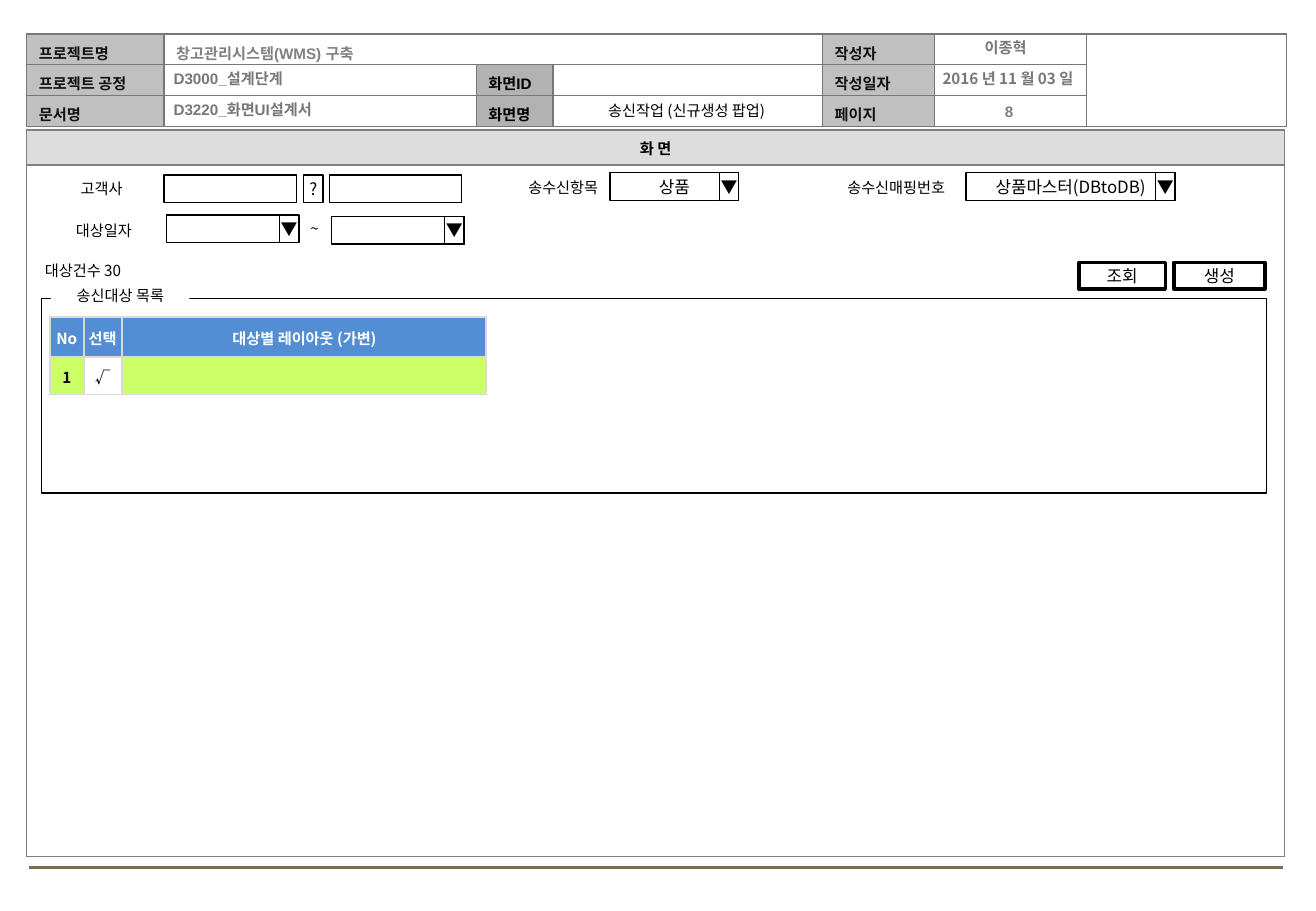
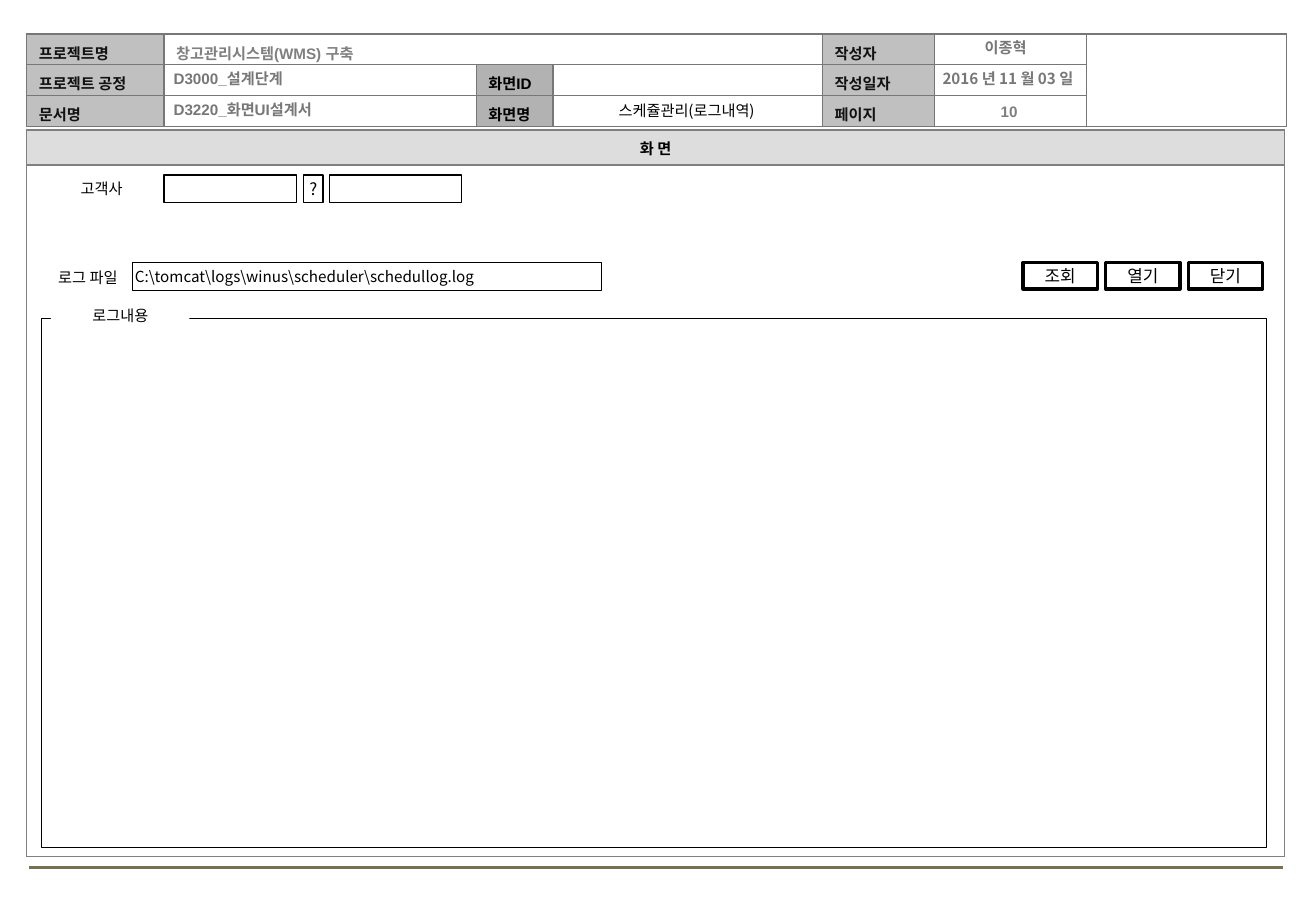
from lxml import etree
from pptx import Presentation
from pptx.dml.color import RGBColor as Rgb
from pptx.enum.shapes import MSO_CONNECTOR as Conn, MSO_SHAPE as Kind
from pptx.enum.text import MSO_ANCHOR as Anchor, MSO_AUTO_SIZE as Auto, PP_ALIGN as Align
from pptx.oxml.ns import qn
from pptx.util import Inches, Pt

HUE = {
    "ink": "000000", "label": "111111", "value": "777777", "project": "808080",
    "page": "7F7F7F", "edge": "777777", "frame": "808080", "head": "C0C0C0",
    "key": "B2B2B2", "band": "DDDDDD", "foot": "7A6F54", "white": "FFFFFF",
    "blue": "538ED5", "lime": "CCFF66", "grid": "D9D9D9",
}
SANS, KOREAN = "Arial", "Noto Sans CJK KR"
FIELD_H, ARROW_W = 0.23, 0.16


def rgb(name):
    return Rgb.from_string(HUE[name])


def box(x, y, w, h):
    return [Inches(n) for n in (x, y, w, h)]


# Text and shapes
def write(para, text, size=9, hue="ink", bold=False, font=KOREAN, align=Align.LEFT):
    para.alignment = align
    run = para.add_run()
    run.text = text
    face = run.font
    face.size, face.bold, face.name = Pt(size), bold, font
    face.color.rgb = rgb(hue)
    etree.SubElement(run._r.get_or_add_rPr(), qn("a:ea"), typeface=KOREAN)


def inset(frame, side, top, low):
    frame.margin_left = frame.margin_right = Inches(side)
    frame.margin_top, frame.margin_bottom = Inches(top), Inches(low)


def label(slide, x, y, w, text, align=Align.CENTER, fill=None, mid=False, wrap=True, **style):
    area = slide.shapes.add_textbox(*box(x, y, w, 0.25))
    if fill:
        area.fill.solid()
        area.fill.fore_color.rgb = rgb(fill)
    frame = area.text_frame
    frame.word_wrap = wrap
    frame.vertical_anchor = Anchor.MIDDLE if mid else Anchor.TOP
    write(frame.paragraphs[0], text, align=align, **style)


def rect(slide, x, y, w, h=FIELD_H, text="", line=0.75, fill="white",
         size=10, align=Align.CENTER, wrap=False):
    shape = slide.shapes.add_shape(Kind.RECTANGLE, *box(x, y, w, h))
    shape.shadow.inherit = False
    if fill:
        shape.fill.solid()
        shape.fill.fore_color.rgb = rgb(fill)
    else:
        shape.fill.background()
    shape.line.color.rgb = rgb("ink")
    shape.line.width = Pt(line)
    if text:
        frame = shape.text_frame
        frame.word_wrap = wrap
        frame.vertical_anchor = Anchor.MIDDLE
        inset(frame, 0.02, 0.04, 0.04)
        write(frame.paragraphs[0], text, size, align=align)


# Tables
def border(cell, hue):
    props = cell._tc.get_or_add_tcPr()
    for at, side in enumerate(("lnL", "lnR", "lnT", "lnB")):
        line = etree.Element(qn("a:" + side), w=str(Pt(1)))
        paint = etree.SubElement(line, qn("a:solidFill"))
        etree.SubElement(paint, qn("a:srgbClr"), val=HUE[hue])
        props.insert(at, line)


def table(slide, x, y, cols, rows, cells, edge, pad, **style):
    """Each entry of cells maps (row, column) to (text, fill, text colour)."""
    area = box(x, y, sum(cols), sum(rows))
    grid = slide.shapes.add_table(len(rows), len(cols), *area).table
    grid.first_row = grid.horz_banding = False
    for col, w in zip(grid.columns, cols):
        col.width = Inches(w)
    for row, h in zip(grid.rows, rows):
        row.height = Inches(h)
    for r in range(len(rows)):
        for c in range(len(cols)):
            cell = grid.cell(r, c)
            text, fill, hue = cells.get((r, c), ("", None, "ink"))
            cell.vertical_anchor = Anchor.MIDDLE
            inset(cell, *pad)
            if fill:
                cell.fill.solid()
                cell.fill.fore_color.rgb = rgb(fill)
            else:
                cell.fill.background()
            border(cell, edge)
            para = cell.text_frame.paragraphs[0]
            if text:
                write(para, text, hue=hue, bold=True, **style)
            else:
                etree.SubElement(para._p, qn("a:endParaRPr"), sz="900")
    return grid


# Shared page parts
def header(slide, x, y, name, page):
    cols = (1.13, 2.57, 0.63, 2.22, 0.92, 1.25, 1.65)
    step = 0.76 / 3
    cells = {(0, 1): ("창고관리시스템(WMS) 구축", None, "project")}
    for col, fill, hue, words in (
        (0, "head", "label", ("프로젝트명", "프로젝트 공정", "문서명")),
        (2, "key", "ink", ("", "화면ID", "화면명")),
        (4, "head", "label", ("작성자", "작성일자", "페이지")),
    ):
        cells.update({(r, col): (t, fill, hue) for r, t in enumerate(words) if t})
    grid = table(slide, x, y, cols, [step] * 3, cells, "edge", (0.1, 0.06, 0.01), font=SANS)
    grid.cell(0, 1).merge(grid.cell(0, 3))
    grid.cell(0, 6).merge(grid.cell(2, 6))

    bold = {"hue": "value", "bold": True}
    for row, text in ((0.24, "D3000_설계단계"), (0.5, "D3220_화면UI설계서")):
        label(slide, x + 1.11, y + row, 5.42, text, Align.LEFT, font=SANS, **bold)
    label(slide, x + 7.27, y - 0.01, 1.57, "이종혁", **bold)
    label(slide, x + 7.29, y + 0.24, 1.57, "2016 년 11 월 03 일", **bold)
    label(slide, x + 7.46, y + 0.51, 1.25, page, hue="page", bold=True, font=SANS)

    title = slide.shapes.title
    title.left, title.top, title.width, title.height = box(x + 4.34, y + 0.5, 2.18, 0.25)
    frame = title.text_frame
    frame.word_wrap, frame.auto_size = True, Auto.NONE
    frame.vertical_anchor = Anchor.TOP
    inset(frame, 0.1, 0.05, 0.05)
    write(frame.paragraphs[0], name, align=Align.CENTER)


def panel(slide, x, y):
    table(slide, x, y, [10.35], [0.29, 5.69], {(0, 0): ("화 면", "band", "ink")},
          "frame", (0.02, 0, 0), font=SANS, align=Align.CENTER)


def footer(slide, x, y, w):
    line = slide.shapes.add_connector(
        Conn.STRAIGHT, Inches(x), Inches(y), Inches(x + w), Inches(y))
    line.line.color.rgb = rgb("foot")
    line.line.width = Pt(1.75)
    etree.SubElement(line._element.spPr, qn("a:effectLst"))


def sheet(deck, name, page):
    slide = deck.slides.add_slide(deck.slide_layouts[5])
    footer(slide, 0.24, 7.14, 10.32)
    header(slide, 0.22, 0.28, name, page)
    panel(slide, 0.22, 1.07)
    client(slide, 0.36, 1.43)
    return slide


# Form parts
def client(slide, x, y):
    label(slide, x, y, 0.95, "고객사")
    for dx, w, text in ((0.99, 1.09, ""), (2.14, 0.16, "?"), (2.35, 1.09, "")):
        rect(slide, x + dx, y + 0.01, w, text=text)


def combo(slide, x, y, w, text=""):
    rect(slide, x, y, w, text=text)
    rect(slide, x + w - ARROW_W, y, ARROW_W, text="▼")


def group(slide, x, y, w, h, name):
    rect(slide, x, y, w, h, fill=None)
    label(slide, x + 0.08, y - 0.15, 1.14, name, fill="white")


def dates(slide, x, y):
    label(slide, x, y, 0.95, "대상일자")
    combo(slide, x + 0.99, y, 1.09)
    label(slide, x + 2.16, y - 0.01, 0.1, "~", wrap=False)
    combo(slide, x + 2.35, y + 0.01, 1.09)


def buttons(slide, x, y, gap, items):
    for text, w in items:
        rect(slide, x, y, w, 0.22, text, line=2)
        x += w + gap


def targets(slide, x, y):
    rows, style = (0.33, 0.31), {"align": Align.CENTER}
    pad = (0.01, 0.01, 0)
    picks = {(0, 0): ("No", "blue", "white"), (0, 1): ("선택", "blue", "white"),
             (1, 0): ("1", "lime", "ink"), (1, 1): ("√", None, "ink")}
    table(slide, x, y, (0.28, 0.31), rows, picks, "grid", pad, **style)
    layout = {(0, 0): ("대상별 레이아웃 (가변)", "blue", "white"), (1, 0): ("", "lime", "ink")}
    table(slide, x + 0.6, y, [2.99], rows, layout, "grid", pad, **style)


# Slides
def send(deck):
    slide = sheet(deck, "송신작업 (신규생성 팝업)", "8")
    label(slide, 4.16, 1.42, 0.95, "송수신항목")
    combo(slide, 5.02, 1.42, 1.06, "상품")
    label(slide, 6.8, 1.42, 1.15, "송수신매핑번호")
    combo(slide, 7.95, 1.42, 1.72, "상품마스터(DBtoDB)")
    dates(slide, 0.38, 1.77)
    label(slide, 0.27, 2.1, 1.61, "대상건수 30", Align.LEFT, "white")
    buttons(slide, 8.88, 2.16, 0.07, (("조회", 0.71), ("생성", 0.75)))
    group(slide, 0.34, 2.46, 10.08, 1.6, "송신대상 목록")
    targets(slide, 0.41, 2.61)


def log(deck):
    slide = sheet(deck, "스케쥴관리(로그내역)", "10")
    label(slide, 0.38, 2.16, 0.79, "로그 파일", Align.LEFT, mid=True)
    rect(slide, 1.09, 2.16, 3.86, text="C:\\tomcat\\logs\\winus\\scheduler\\schedullog.log",
         size=9, align=Align.LEFT, wrap=True)
    buttons(slide, 8.42, 2.16, 0.07, [(t, 0.61) for t in ("조회", "열기", "닫기")])
    group(slide, 0.34, 2.62, 10.08, 4.36, "로그내용")


def main():
    deck = Presentation()
    deck.slide_width, deck.slide_height = Inches(10.83), Inches(7.5)
    send(deck)
    log(deck)
    deck.save("out.pptx")


if __name__ == "__main__":
    main()
